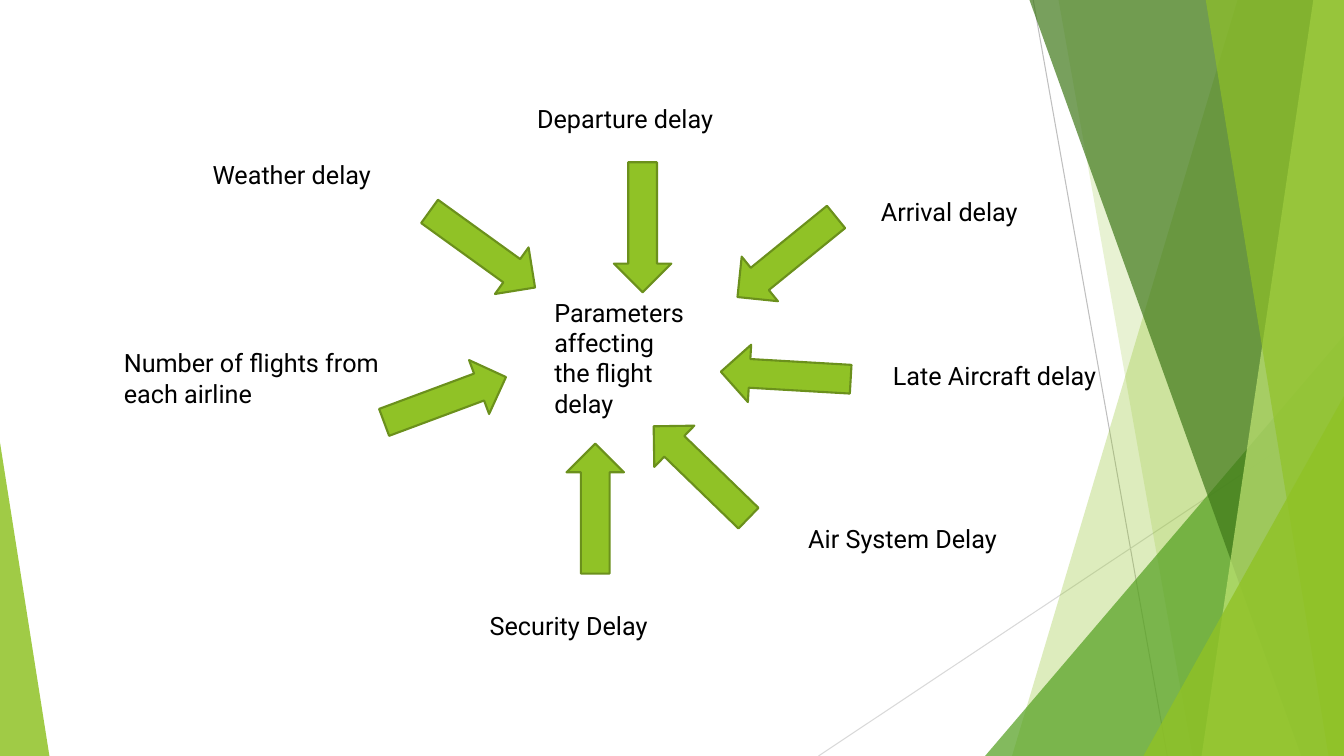
from lxml import etree
from pptx import Presentation
from pptx.dml.color import RGBColor
from pptx.enum.shapes import MSO_CONNECTOR, MSO_SHAPE
from pptx.enum.text import MSO_AUTO_SIZE
from pptx.oxml.ns import qn
from pptx.util import Inches, Pt

STRAIGHT = MSO_CONNECTOR.STRAIGHT
TRIANGLE = MSO_SHAPE.ISOSCELES_TRIANGLE
DOWN_ARROW = MSO_SHAPE.DOWN_ARROW
GROW = MSO_AUTO_SIZE.SHAPE_TO_FIT_TEXT

# Every length counts cells of a square grid, a tenth of an inch wide
COLUMNS, ROWS = 133.33, 75
PANEL_TOP = -0.1
ARROW_WIDTH = 5.7

COLORS = {
    "lime": "90C226",
    "green": "54A021",
    "forest": "3F7819",
    "pale lime": "C0E474",
    "olive": "6B901C",
    "gray": "BFBFBF",
    "light gray": "D9D9D9",
    "black": "000000",
}

# left, top, width, height, text
LABELS = [
    (54, 29, 15.9, 13.1, "Parameters affecting the flight delay"),
    (20.1, 15.3, 21.1, 4, "Weather delay"),
    (52.3, 9.8, 23.7, 4, "Departure delay"),
    (86.4, 19, 22.2, 4, "Arrival delay"),
    (87.6, 35.3, 23.1, 4, "Late Aircraft delay"),
    (79.2, 51.4, 30.4, 4, "Air System Delay"),
    (47.6, 60.1, 26.4, 4, "Security Delay"),
    (11.3, 34, 29.2, 7.1, "Number of flights from each airline"),
]

# centre column, centre row, length, rotation
ARROWS = [
    (63.75, 22.55, 12.9, 0),
    (44.15, 39.65, 12.9, 249.6),
    (69.55, 46.85, 13.1, 134.1),
    (59.05, 50.45, 12.9, 180),
    (77.95, 37.25, 12.9, 93.3),
    (78.05, 25.5, 12.6, 50.9),
    (47.85, 24.75, 12.9, 305.8),
]


def cells(count):
    return Inches(count / 10)


def color(name):
    return RGBColor.from_string(COLORS[name])


class DelaySlide:
    """Style and drawing methods for the one slide."""

    font_name = "Roboto"
    font_size = Pt(18)

    def __init__(self, presentation):
        self.slide = presentation.slides.add_slide(presentation.slide_layouts[6])
        self.shapes = self.slide.shapes

    def paint(self, shape, fill, opacity=100):
        """Fill a shape without outline or shadow; opacity is in percent."""
        shape.shadow.inherit = False
        shape.line.fill.background()
        shape.fill.solid()
        shape.fill.fore_color.rgb = color(fill)
        if opacity < 100:
            tone = shape.fill._xPr.find(qn("a:solidFill"))[0]
            etree.SubElement(tone, qn("a:alpha"), val=str(opacity * 1000))

    def hairline(self, start, end, tone):
        line = self.shapes.add_connector(STRAIGHT, *map(cells, start + end))
        line.line.color.rgb = color(tone)
        line.line.width = Pt(0.75)
        etree.SubElement(line._element.spPr, qn("a:effectLst"))

    def panel(self, top_column, bottom_column, fill, opacity):
        """Fill everything from a slanted edge to the slide's right side."""
        builder = self.shapes.build_freeform(cells(top_column), cells(PANEL_TOP))
        corners = [(COLUMNS, PANEL_TOP), (COLUMNS, ROWS), (bottom_column, ROWS)]
        builder.add_line_segments([(cells(x), cells(y)) for x, y in corners])
        self.paint(builder.convert_to_shape(), fill, opacity)

    def corner(self, width, height, apex, fill, opacity):
        """Right triangle in a bottom corner: apex 0 is left, 1 is right."""
        left = (COLUMNS - width) * apex
        shape = self.shapes.add_shape(
            TRIANGLE, cells(left), cells(ROWS - height), cells(width), cells(height))
        shape.adjustments[0] = apex
        self.paint(shape, fill, opacity)

    def label(self, left, top, width, height, text):
        box = self.shapes.add_textbox(*map(cells, (left, top, width, height)))
        frame = box.text_frame
        frame.word_wrap = True
        frame.auto_size = GROW
        paragraph = frame.paragraphs[0]
        paragraph.text = text
        paragraph.font.name = self.font_name
        paragraph.font.size = self.font_size
        paragraph.font.color.rgb = color("black")

    def arrow(self, column, row, length, rotation):
        shape = self.shapes.add_shape(
            DOWN_ARROW, cells(column - ARROW_WIDTH / 2), cells(row - length / 2),
            cells(ARROW_WIDTH), cells(length))
        shape.rotation = rotation
        self.paint(shape, "lime")
        shape.line.color.rgb = color("olive")
        shape.line.width = Pt(1.5)


def main():
    presentation = Presentation()
    presentation.slide_width = cells(COLUMNS)
    presentation.slide_height = cells(ROWS)
    slide = DelaySlide(presentation)

    slide.hairline((102.5, 0), (115.8, ROWS), "gray")
    slide.hairline((COLUMNS, 40.3), (81.2, ROWS), "light gray")
    slide.panel(122.8, 100.4, "lime", 30)
    slide.panel(105, 118.3, "lime", 20)
    slide.corner(35.6, 41.7, 1, "green", 72)
    slide.panel(102.1, 129.1, "forest", 70)
    slide.panel(130.3, 119.2, "pale lime", 70)
    slide.panel(119.6, 131.8, "lime", 65)
    slide.corner(19.9, 35.7, 1, "lime", 80)
    slide.corner(4.9, 31.1, 0, "lime", 85)

    for label in LABELS:
        slide.label(*label)
    for arrow in ARROWS:
        slide.arrow(*arrow)

    presentation.save("out.pptx")


if __name__ == "__main__":
    main()
